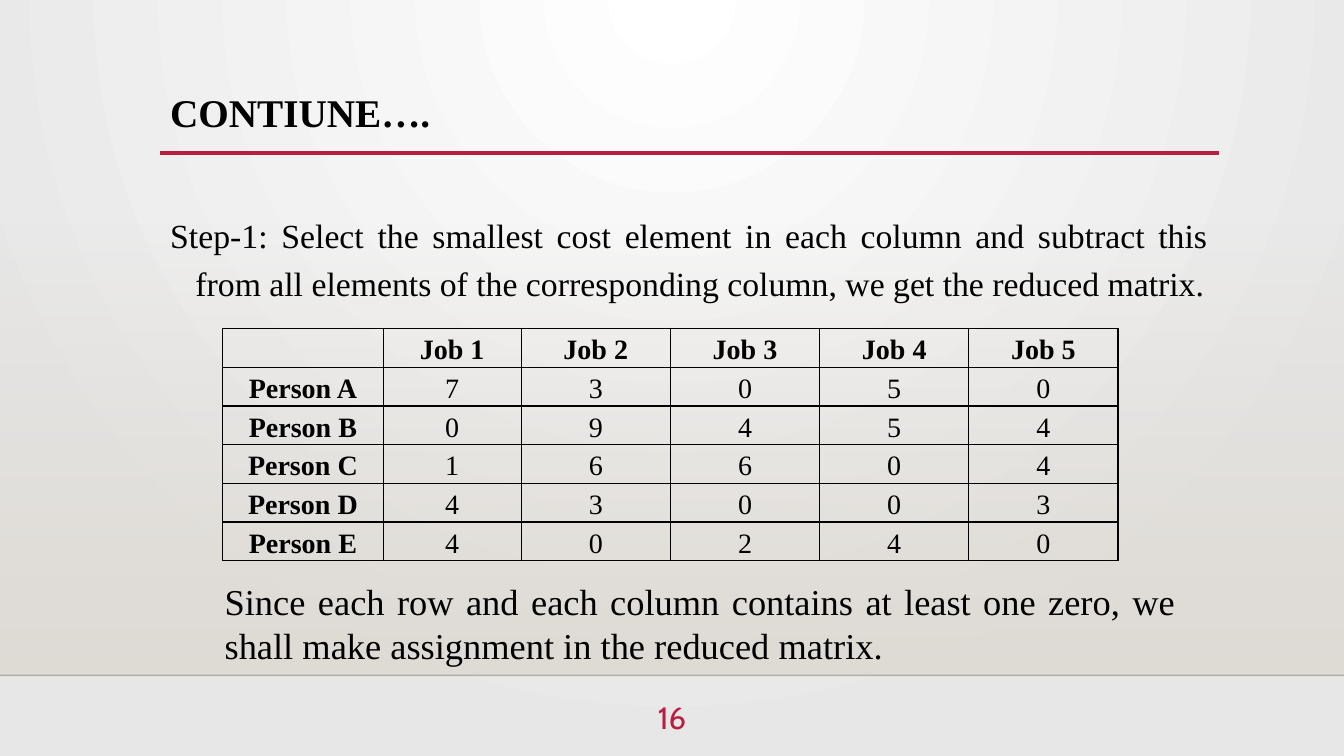
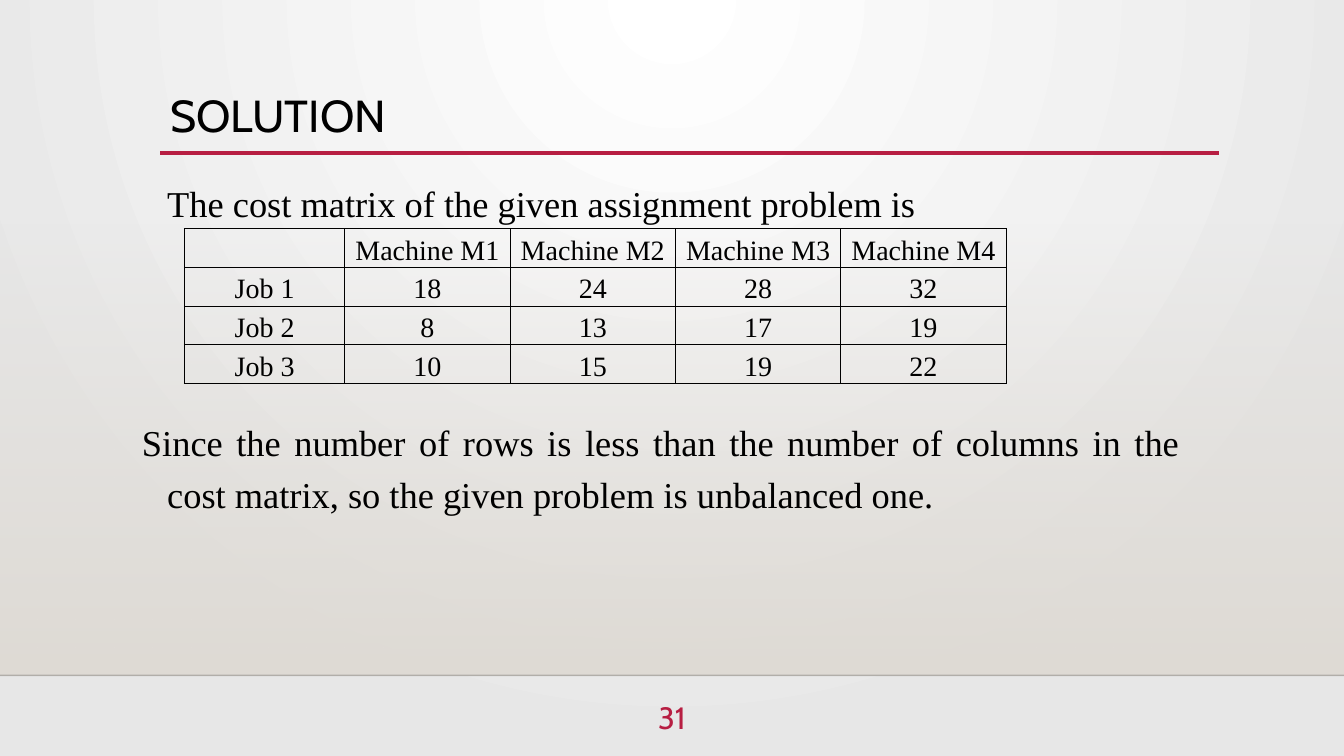
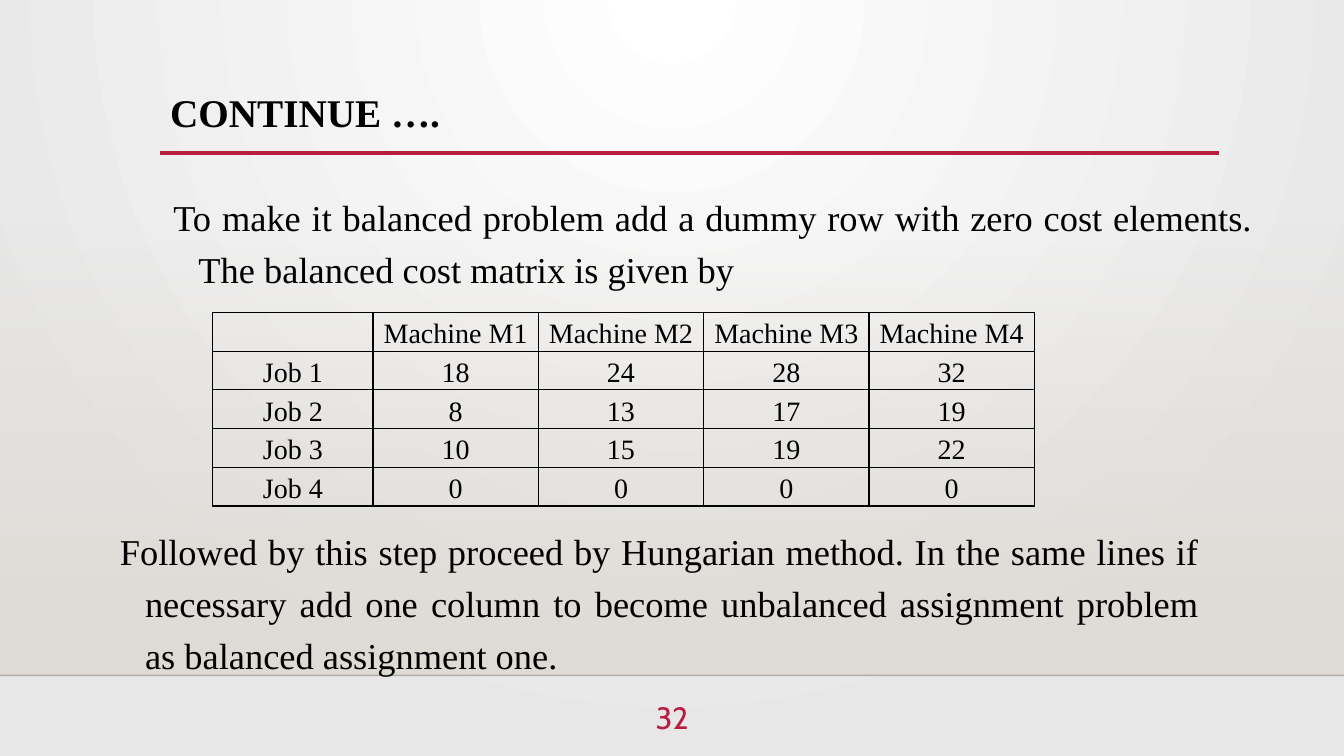
from dataclasses import dataclass

from lxml import etree
from pptx import Presentation
from pptx.dml.color import RGBColor
from pptx.enum.shapes import MSO_CONNECTOR, MSO_SHAPE
from pptx.enum.text import MSO_ANCHOR, PP_ALIGN
from pptx.oxml.ns import qn
from pptx.util import Inches, Pt

RECTANGLE = MSO_SHAPE.RECTANGLE
STRAIGHT = MSO_CONNECTOR.STRAIGHT
MIDDLE = MSO_ANCHOR.MIDDLE
LEFT, CENTER, JUSTIFY = PP_ALIGN.LEFT, PP_ALIGN.CENTER, PP_ALIGN.JUSTIFY

BLANK = 6
WIDTH, HEIGHT = 13.33, 7.5
BAND_TOP, BAND_BOTTOM = 2.21, 6.7
RULE_LEFT, RULE_RIGHT, RULE_Y = 1.59, 12.09, 1.52
ROW_HEIGHT = 0.35


@dataclass(frozen=True)
class Theme:
    serif: str = "Times New Roman"
    sans: str = "Cabin"
    ink: str = "000000"
    accent: str = "B71E42"
    edge: str = "000001"
    glow: str = "FFFFFF"
    ground: str = "E7E7E7"
    sand: str = "DFDBD5"
    title: float = 28
    sans_title: float = 32
    body: float = 26
    small_body: float = 24.1
    cell: float = 20
    number: float = 22


def rgb(value):
    return RGBColor.from_string(value)


def add_alpha(color_parent, percent):
    color = next(color_parent.iter(qn("a:srgbClr")))
    etree.SubElement(color, qn("a:alpha"), val=str(percent * 1000))


class Deck:
    def __init__(self, theme):
        self.theme = theme
        self.prs = Presentation()
        self.prs.slide_width = Inches(WIDTH)
        self.prs.slide_height = Inches(HEIGHT)
        self.slide = None

    def new_slide(self, number):
        self.slide = self.prs.slides.add_slide(self.prs.slide_layouts[BLANK])
        self.background()
        self.band()
        t = self.theme
        edge = self.line(0, WIDTH, BAND_BOTTOM, t.edge, 1)
        add_alpha(edge.line._ln, 20)
        self.line(RULE_LEFT, RULE_RIGHT, RULE_Y, t.accent, 2.5)
        self.text(str(number), 6.22, 6.88, 0.89, 0.55, size=t.number,
                  font=t.sans, color=t.accent, align=CENTER)

    def gradient(self, fill, start, end):
        fill.gradient()
        for stop, position, color in zip(fill.gradient_stops, (0, 1), (start, end)):
            stop.position = position
            stop.color.rgb = rgb(color)

    def background(self):
        fill = self.slide.background.fill
        self.gradient(fill, self.theme.glow, self.theme.ground)
        grad = next(self.slide.element.iter(qn("a:gradFill")))
        lin = grad.find(qn("a:lin"))
        circle = etree.Element(qn("a:path"), path="circle")
        etree.SubElement(circle, qn("a:fillToRect"), l="43000", t="0", r="43000", b="100000")
        grad.replace(lin, circle)

    def band(self):
        sp = self.slide.shapes.add_shape(
            RECTANGLE, 0, Inches(BAND_TOP), Inches(WIDTH), Inches(BAND_BOTTOM - BAND_TOP))
        sp.shadow.inherit = False
        sp.line.fill.background()
        self.gradient(sp.fill, self.theme.sand, self.theme.sand)
        sp.fill.gradient_angle = 270
        add_alpha(next(sp.element.iter(qn("a:gs"))), 0)

    def line(self, left, right, y, color, width):
        cx = self.slide.shapes.add_connector(
            STRAIGHT, Inches(left), Inches(y), Inches(right), Inches(y))
        cx.line.color.rgb = rgb(color)
        cx.line.width = Pt(width)
        etree.SubElement(cx.element.spPr, qn("a:effectLst"))
        return cx

    def style(self, p, size, font, color, bold, align, spacing):
        p.alignment = align
        p.line_spacing = spacing
        p.font.size = Pt(size)
        p.font.name = font
        p.font.bold = bold
        p.font.color.rgb = rgb(color)

    def text(self, words, left, top, width, height, size=None, font=None,
             color=None, bold=False, align=JUSTIFY, spacing=1.0, hanging=False):
        t = self.theme
        box = self.slide.shapes.add_textbox(
            Inches(left), Inches(top), Inches(width), Inches(height))
        tf = box.text_frame
        tf.word_wrap = True
        p = tf.paragraphs[0]
        p.text = words
        if hanging:
            pPr = p._p.get_or_add_pPr()
            pPr.set("marL", str(Inches(0.25)))
            pPr.set("indent", str(-Inches(0.25)))
        self.style(p, size or t.body, font or t.serif, color or t.ink, bold, align, spacing)

    def title(self, words, sans=False):
        t = self.theme
        self.text(words, RULE_LEFT, 0.88, RULE_RIGHT - RULE_LEFT, 0.64,
                  size=t.sans_title if sans else t.title,
                  font=t.sans if sans else t.serif,
                  bold=not sans, align=LEFT, spacing=0.9)

    def body(self, words, left, top, width, height, size=None, align=JUSTIFY):
        self.text(words, left, top, width, height, size=size, align=align,
                  spacing=1.2, hanging=True)

    def table(self, rows, left, top, widths, bold_heads=False):
        t = self.theme
        frame = self.slide.shapes.add_table(
            len(rows), len(widths), Inches(left), Inches(top),
            Inches(sum(widths)), Inches(ROW_HEIGHT * len(rows)))
        table = frame.table
        table.first_row = table.horz_banding = False
        for column, width in zip(table.columns, widths):
            column.width = Inches(width)
        for i, row in enumerate(rows):
            table.rows[i].height = Inches(ROW_HEIGHT)
            for j, value in enumerate(row):
                cell = table.cell(i, j)
                cell.vertical_anchor = MIDDLE
                cell.margin_left = cell.margin_right = Inches(0.07)
                cell.margin_top = cell.margin_bottom = 0
                self.borders(cell)
                cell.fill.background()
                p = cell.text_frame.paragraphs[0]
                if value != "":
                    p.text = str(value)
                bold = bold_heads and (i == 0 or j == 0)
                self.style(p, t.cell, t.serif, t.ink, bold, CENTER, 1.15)

    def borders(self, cell):
        tcPr = cell._tc.get_or_add_tcPr()
        for side in ("a:lnL", "a:lnR", "a:lnT", "a:lnB"):
            ln = etree.SubElement(tcPr, qn(side), w=str(Pt(1)))
            solid = etree.SubElement(ln, qn("a:solidFill"))
            etree.SubElement(solid, qn("a:srgbClr"), val=self.theme.ink)


JOB_WIDTHS = [1.59, 1.37] + [1.48] * 4
MACHINE_WIDTHS = [1.59] + [1.64] * 4

REDUCED_MATRIX = [
    ["", "Job 1", "Job 2", "Job 3", "Job 4", "Job 5"],
    ["Person A", 7, 3, 0, 5, 0],
    ["Person B", 0, 9, 4, 5, 4],
    ["Person C", 1, 6, 6, 0, 4],
    ["Person D", 4, 3, 0, 0, 3],
    ["Person E", 4, 0, 2, 4, 0],
]
COST_MATRIX = [
    ["", "Machine M1", "Machine M2", "Machine M3", "Machine M4"],
    ["Job 1", 18, 24, 28, 32],
    ["Job 2", 8, 13, 17, 19],
    ["Job 3", 10, 15, 19, 22],
]
DUMMY_ROW = ["Job 4", 0, 0, 0, 0]


def reduced_matrix_slide(deck):
    deck.new_slide(16)
    deck.title("CONTIUNE….")
    deck.body("Step-1: Select the smallest cost element in each column and subtract this "
              "from all elements of the corresponding column, we get the reduced matrix.",
              1.59, 2, 10.5, 1.38, size=deck.theme.small_body)
    deck.table(REDUCED_MATRIX, 2.21, 3.26, JOB_WIDTHS, bold_heads=True)
    deck.text("Since each row and each column contains at least one zero, we shall make "
              "assignment in the reduced matrix.", 2.13, 5.7, 9.64, 0.98)


def solution_slide(deck):
    deck.new_slide(31)
    deck.title("SOLUTION", sans=True)
    deck.body("The cost matrix of the given assignment problem is",
              1.56, 1.66, 10.5, 0.62, align=LEFT)
    deck.table(COST_MATRIX, 1.83, 2.27, MACHINE_WIDTHS)
    deck.body("Since the number of rows is less than the number of columns in the cost "
              "matrix, so the given problem is unbalanced one.", 1.31, 4.03, 10.5, 1.33)


def balanced_matrix_slide(deck):
    deck.new_slide(32)
    deck.title("CONTINUE ….")
    deck.body("To make it balanced problem add a dummy row with zero cost elements. "
              "The balanced cost matrix is given by", 1.62, 1.8, 10.91, 1.33)
    deck.table(COST_MATRIX + [DUMMY_ROW], 2.11, 3.1, MACHINE_WIDTHS)
    deck.body("Followed by this step proceed by Hungarian method. In the same lines if "
              "necessary add one column to become unbalanced assignment problem as "
              "balanced assignment one.", 1.09, 5.11, 10.91, 1.63)


def main():
    deck = Deck(Theme())
    reduced_matrix_slide(deck)
    solution_slide(deck)
    balanced_matrix_slide(deck)
    deck.prs.save("out.pptx")


if __name__ == "__main__":
    main()
